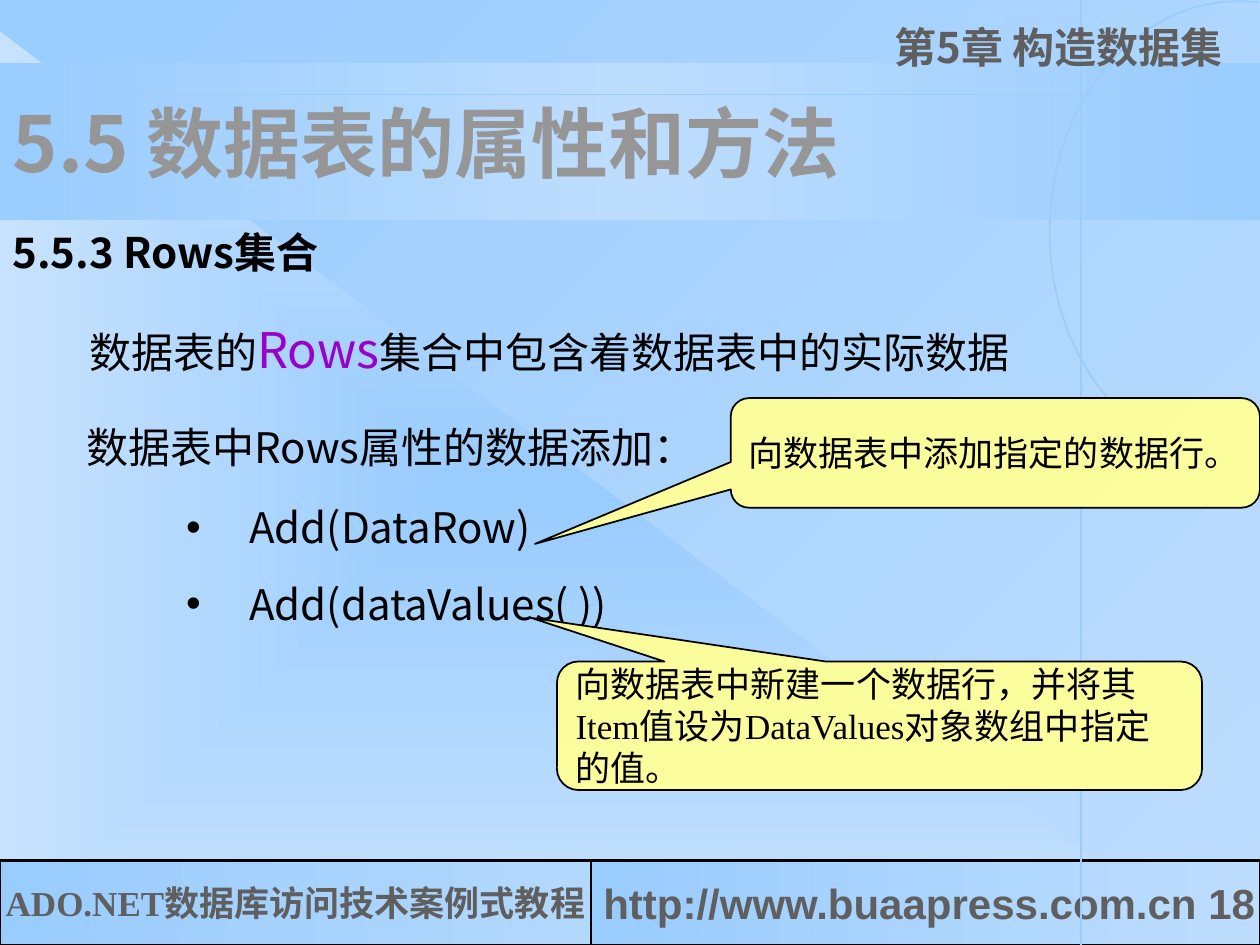
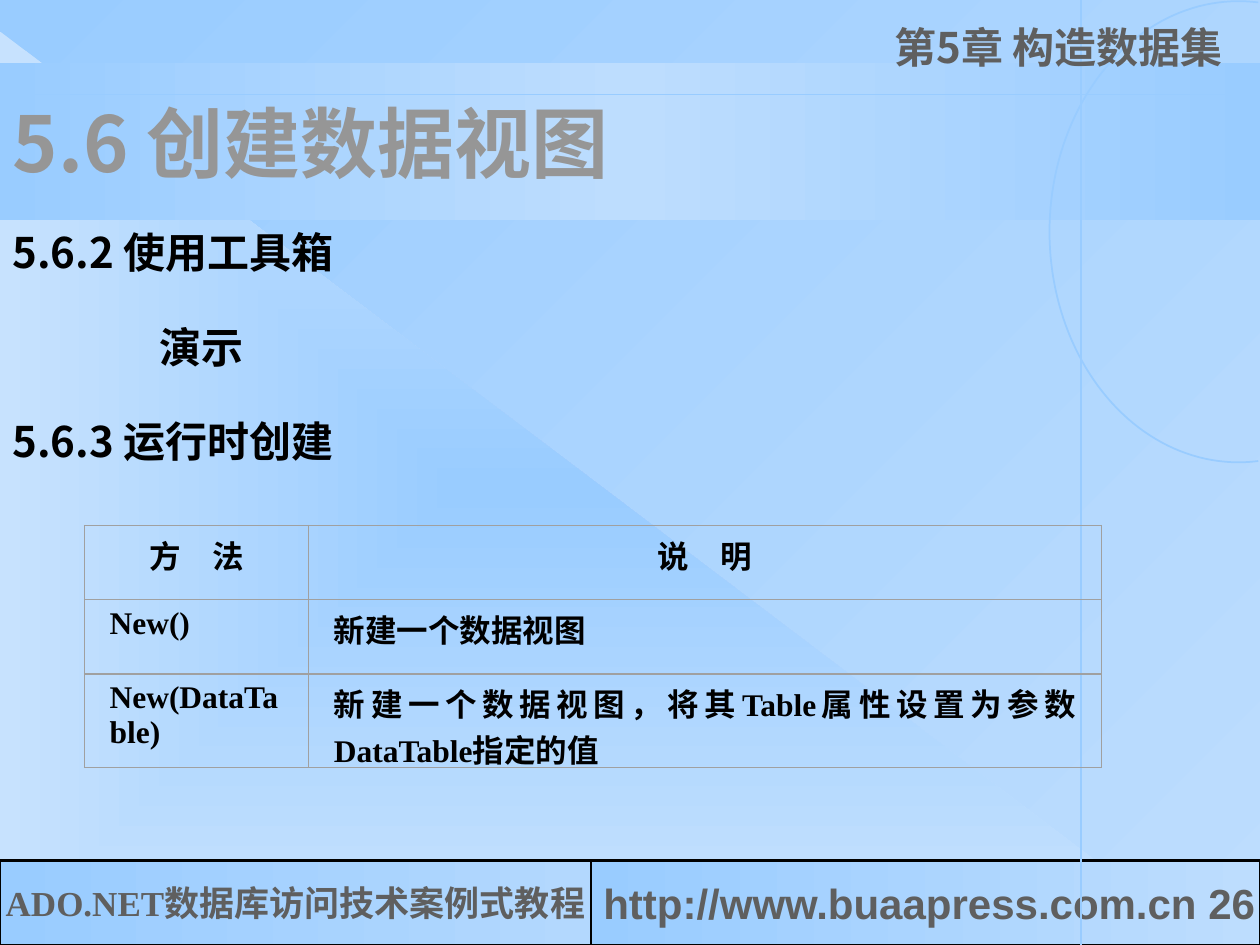
from math import cos, radians, sin

from lxml import etree
from pptx import Presentation
from pptx.dml.color import RGBColor
from pptx.enum.shapes import MSO_CONNECTOR, MSO_SHAPE
from pptx.enum.text import MSO_ANCHOR, MSO_AUTO_SIZE, PP_ALIGN
from pptx.oxml.ns import qn
from pptx.util import Inches, Pt

BLACK = RGBColor(0x00, 0x00, 0x00)
DARK_GREY = RGBColor(0x5F, 0x5F, 0x5F)
TITLE_GREY = RGBColor(0x96, 0x96, 0x96)
BORDER_GREY = RGBColor(0xA0, 0xA0, 0xA0)
PURPLE = RGBColor(0x99, 0x00, 0xCC)
YELLOW = RGBColor(0xFF, 0xFF, 0x99)
BLUE = RGBColor(0x99, 0xCC, 0xFF)
MID_BLUE = RGBColor(0xB3, 0xD8, 0xFE)
LIGHT_BLUE = RGBColor(0xBD, 0xDD, 0xFE)
PALE_BLUE = RGBColor(0xC7, 0xE2, 0xFE)

SANS = "Noto Sans CJK SC"
SERIF = "Times New Roman"


def box(left, top, width, height):
    """Turn a rectangle in inches into lengths."""
    return [Inches(v) for v in (left, top, width, height)]


def child(parent, tag, **attrs):
    """Append a drawing element to its parent."""
    return etree.SubElement(parent, qn(tag), {k: str(v) for k, v in attrs.items()})


class Deck:
    """Hold the style and the slide being built."""

    def __init__(self):
        """Open an empty 10 by 7.5 inch presentation."""
        self.prs = Presentation()
        self.prs.slide_width = Inches(10)
        self.prs.slide_height = Inches(7.5)
        self.s = None

    def gradient(self, fill, owner, colors, angle=None):
        """Fill with evenly spaced colours, linear or from the centre."""
        fill.gradient()
        grad = next(owner.iter(qn("a:gradFill")))
        grad.clear()
        stops = child(grad, "a:gsLst")
        for i, color in enumerate(colors):
            stop = child(stops, "a:gs", pos=100000 * i // (len(colors) - 1))
            child(stop, "a:srgbClr", val=color)
        if angle is None:
            centre = child(grad, "a:path", path="rect")
            child(centre, "a:fillToRect", l=50000, t=50000, r=50000, b=50000)
        else:
            child(grad, "a:lin", ang=angle * 60000, scaled=0)

    def run(self, p, text, size=24, color=BLACK, font=SANS, bold=False):
        """Add one formatted run."""
        r = p.add_run()
        r.text = text
        r.font.size = Pt(size)
        r.font.bold = bold
        r.font.name = font
        r.font.color.rgb = color
        child(r.font._element, "a:ea", typeface=SANS)

    def panel(self, kind, at, colors, angle=None, outlined=False):
        """Add a gradient shape."""
        sp = self.s.shapes.add_shape(kind, *box(*at))
        sp.shadow.inherit = False
        self.gradient(sp.fill, sp.element, colors, angle)
        if outlined:
            sp.line.color.rgb = BLACK
            sp.line.width = Pt(1.5)
        else:
            sp.line.fill.background()
        return sp

    def footer(self, at, colors, angle, text, align, size, font):
        """Add one footer cell."""
        sp = self.panel(MSO_SHAPE.RECTANGLE, at, colors, angle, True)
        tf = sp.text_frame
        tf.word_wrap = False
        tf.vertical_anchor = MSO_ANCHOR.MIDDLE
        p = tf.paragraphs[0]
        p.alignment = align
        self.run(p, text, size, DARK_GREY, font, True)

    def rule(self, x1, y1, x2, y2, width):
        """Add a straight blue line."""
        ends = box(x1, y1, x2, y2)
        line = self.s.shapes.add_connector(MSO_CONNECTOR.STRAIGHT, *ends)
        line.line.color.rgb = BLUE
        line.line.width = Pt(width)
        child(line.element.spPr, "a:effectLst")

    def arc(self, cx, cy, rx, ry):
        """Add the left half of an ellipse, up to the slide edge."""
        points = [(Inches(cx + rx * cos(radians(a))), Inches(cy + ry * sin(radians(a))))
                  for a in range(84, 277, 2)]
        builder = self.s.shapes.build_freeform(*points[0])
        builder.add_line_segments(points[1:], close=False)
        sp = builder.convert_to_shape()
        sp.shadow.inherit = False
        sp.fill.background()
        sp.line.color.rgb = BLUE
        sp.line.width = Pt(1)

    def text(self, at, *runs, align=PP_ALIGN.LEFT, spacing=None):
        """Add a one-paragraph text box from (text, style) runs."""
        tf = self.s.shapes.add_textbox(*box(*at)).text_frame
        tf.word_wrap = True
        p = tf.paragraphs[0]
        p.alignment = align
        p.line_spacing = spacing
        for text, style in runs:
            self.run(p, text, **style)

    def heading(self, left, top, text):
        """Add a bold section heading."""
        self.text((left, top, 4.5, 0.5), (text, {"bold": True}))

    def bullets(self, at, items):
        """Add a bulleted list."""
        tf = self.s.shapes.add_textbox(*box(*at)).text_frame
        tf.word_wrap = True
        for i, item in enumerate(items):
            p = tf.add_paragraph() if i else tf.paragraphs[0]
            if i:
                p.space_before = Pt(15)
            pPr = p._p.get_or_add_pPr()
            pPr.set("marL", str(Inches(0.5)))
            pPr.set("indent", str(-Inches(0.5)))
            child(pPr, "a:buFont", typeface="Arial")
            child(pPr, "a:buChar", char="•")
            self.run(p, item)

    def callout(self, at, tip, text):
        """Add a yellow callout whose tip is relative to its size."""
        sp = self.s.shapes.add_shape(MSO_SHAPE.ROUNDED_RECTANGULAR_CALLOUT, *box(*at))
        sp.shadow.inherit = False
        for i, value in enumerate((*tip, 0.167)):
            sp.adjustments[i] = value
        sp.fill.solid()
        sp.fill.fore_color.rgb = YELLOW
        child(next(sp.element.spPr.iter(qn("a:srgbClr"))), "a:alpha", val=96000)
        sp.line.color.rgb = BLACK
        sp.line.width = Pt(1)
        tf = sp.text_frame
        tf.word_wrap = True
        tf.vertical_anchor = MSO_ANCHOR.MIDDLE
        p = tf.paragraphs[0]
        p.alignment = PP_ALIGN.LEFT
        self.run(p, text, 20, font=SERIF)

    def cell(self, cell, text, align):
        """Write and border one table cell."""
        cell.fill.background()
        cell.margin_left = cell.margin_right = Inches(0.2)
        cell.margin_top = cell.margin_bottom = Inches(0.05)
        p = cell.text_frame.paragraphs[0]
        p.alignment = align
        self.run(p, text, 18, font=SERIF, bold=True)
        tcPr = cell._tc.get_or_add_tcPr()
        for i, side in enumerate(("a:lnL", "a:lnR", "a:lnT", "a:lnB")):
            ln = etree.Element(qn(side), w=str(Pt(0.75)))
            child(child(ln, "a:solidFill"), "a:srgbClr", val=BORDER_GREY)
            tcPr.insert(i, ln)

    def table(self, left, top, widths, heights, rows):
        """Add a transparent table with a centred header row."""
        at = box(left, top, sum(widths), sum(heights))
        table = self.s.shapes.add_table(len(rows), len(widths), *at).table
        table.first_row = table.horz_banding = False
        for column, width in zip(table.columns, widths):
            column.width = Inches(width)
        for i, (height, row) in enumerate(zip(heights, rows)):
            table.rows[i].height = Inches(height)
            align = PP_ALIGN.JUSTIFY if i else PP_ALIGN.CENTER
            for j, text in enumerate(row):
                self.cell(table.cell(i, j), text, align)

    def slide(self, title, number):
        """Start a slide with the shared background, bands, footer and title."""
        self.s = self.prs.slides.add_slide(self.prs.slide_layouts[5])
        self.gradient(self.s.background.fill, self.s.element, (LIGHT_BLUE, BLUE), 225)
        self.panel(MSO_SHAPE.RIGHT_TRIANGLE, (0, 0.25, 9.58, 7.25), (BLUE, PALE_BLUE))
        self.panel(MSO_SHAPE.RECTANGLE, (0, 0.5, 10, 1.25), (BLUE, LIGHT_BLUE, BLUE), 180)
        self.footer((0, 6.83, 4.69, 0.67), (MID_BLUE, BLUE), 180,
                    "ADO.NET数据库访问技术案例式教程", PP_ALIGN.CENTER, 20, SERIF)
        self.footer((4.69, 6.83, 5.31, 0.67), (BLUE, LIGHT_BLUE), 0,
                    f"http://www.buaapress.com.cn {number}", PP_ALIGN.LEFT, 24, "Arial")
        self.rule(0, 0.75, 10, 0.75, 1)
        self.rule(8.58, 0, 8.58, 7.5, 1.5)
        self.arc(9.83, 1.84, 1.5, 1.83)
        self.text((7, 0, 3, 1.14), ("第5章 构造数据集", {"color": DARK_GREY, "bold": True}),
                  spacing=1.3)
        sp = self.s.shapes.title
        sp.left, sp.top, sp.width, sp.height = box(0, 0.5, 10, 1.25)
        sp.element.getparent().append(sp.element)
        tf = sp.text_frame
        tf.auto_size = MSO_AUTO_SIZE.NONE
        tf.vertical_anchor = MSO_ANCHOR.MIDDLE
        p = tf.paragraphs[0]
        p.alignment = PP_ALIGN.LEFT
        self.run(p, title, 44, TITLE_GREY, bold=True)


def rows_slide(deck):
    """Build the slide on the Rows collection."""
    deck.slide("5.5 数据表的属性和方法", 18)
    deck.heading(0, 1.75, "5.5.3 Rows集合")
    deck.text((0.5, 2.49, 7.72, 0.57), ("数据表的", {}),
              ("Rows", {"size": 28, "color": PURPLE}),
              ("集合中包含着数据表中的实际数据", {}), align=PP_ALIGN.CENTER)
    deck.text((0.59, 3.3, 5.67, 0.5), ("数据表中Rows属性的数据添加：", {}))
    deck.bullets((1.38, 3.93, 5.43, 1.11), ("Add(DataRow)", "Add(dataValues( ))"))
    deck.callout((5.8, 3.16, 4.2, 0.87), (-0.87, 0.83), "向数据表中添加指定的数据行。")
    deck.callout((4.42, 5.25, 5.12, 1.02), (-0.54, -0.84),
                 "向数据表中新建一个数据行，并将其Item值设为DataValues对象数组中指定的值。")


def view_slide(deck):
    """Build the slide on creating data views."""
    deck.slide("5.6 创建数据视图", 26)
    deck.heading(0, 1.75, "5.6.2 使用工具箱")
    deck.heading(1.17, 2.5, "演示")
    deck.heading(0, 3.25, "5.6.3 运行时创建")
    deck.table(0.67, 4.17, (1.78, 6.29), (0.59, 0.59, 0.74), (
        ("方　法", "说　明"),
        ("New()", "新建一个数据视图"),
        ("New(DataTable)", "新建一个数据视图，将其Table属性设置为参数DataTable指定的值"),
    ))


def main():
    """Build and save the presentation."""
    deck = Deck()
    rows_slide(deck)
    view_slide(deck)
    deck.prs.save("out.pptx")


if __name__ == "__main__":
    main()
